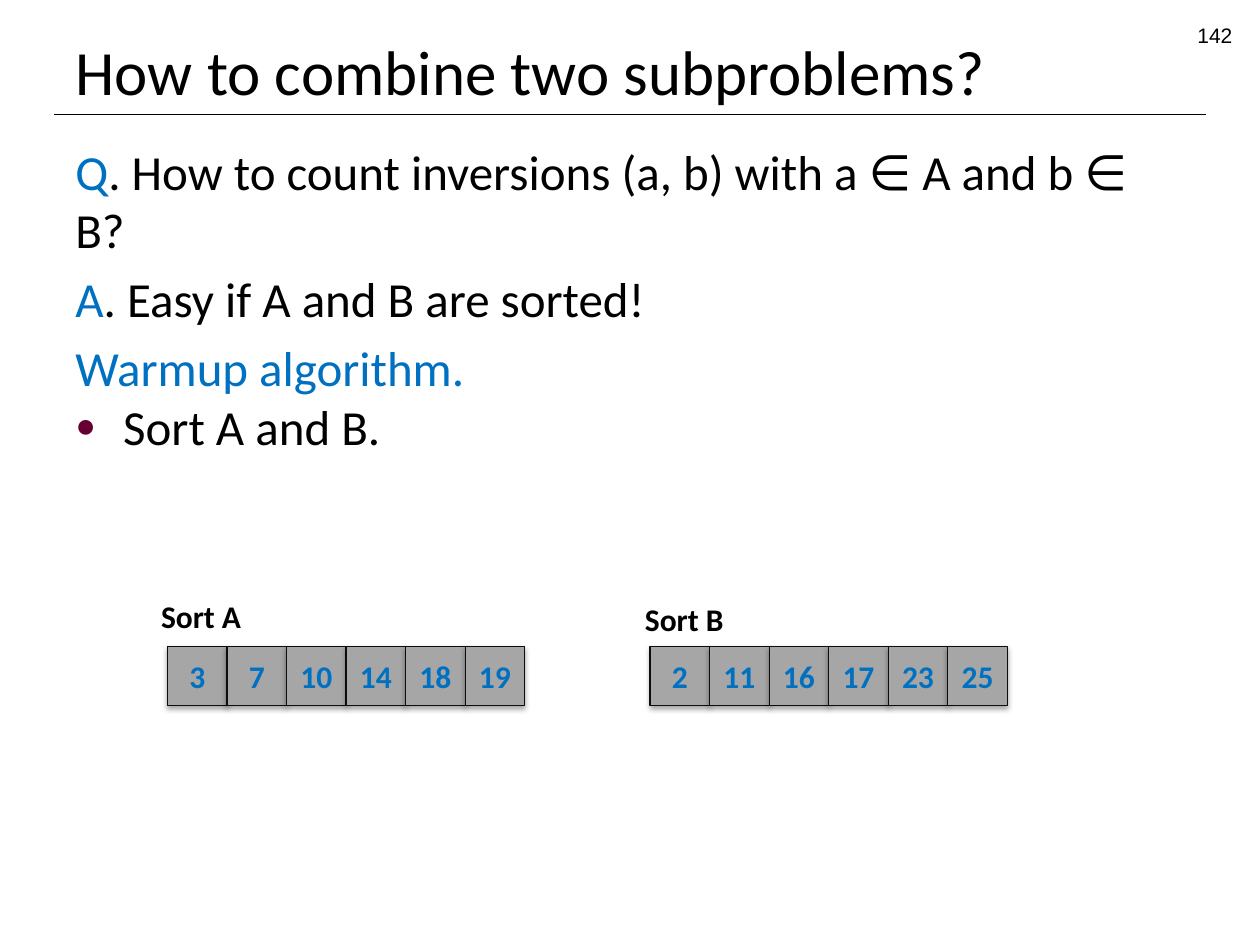
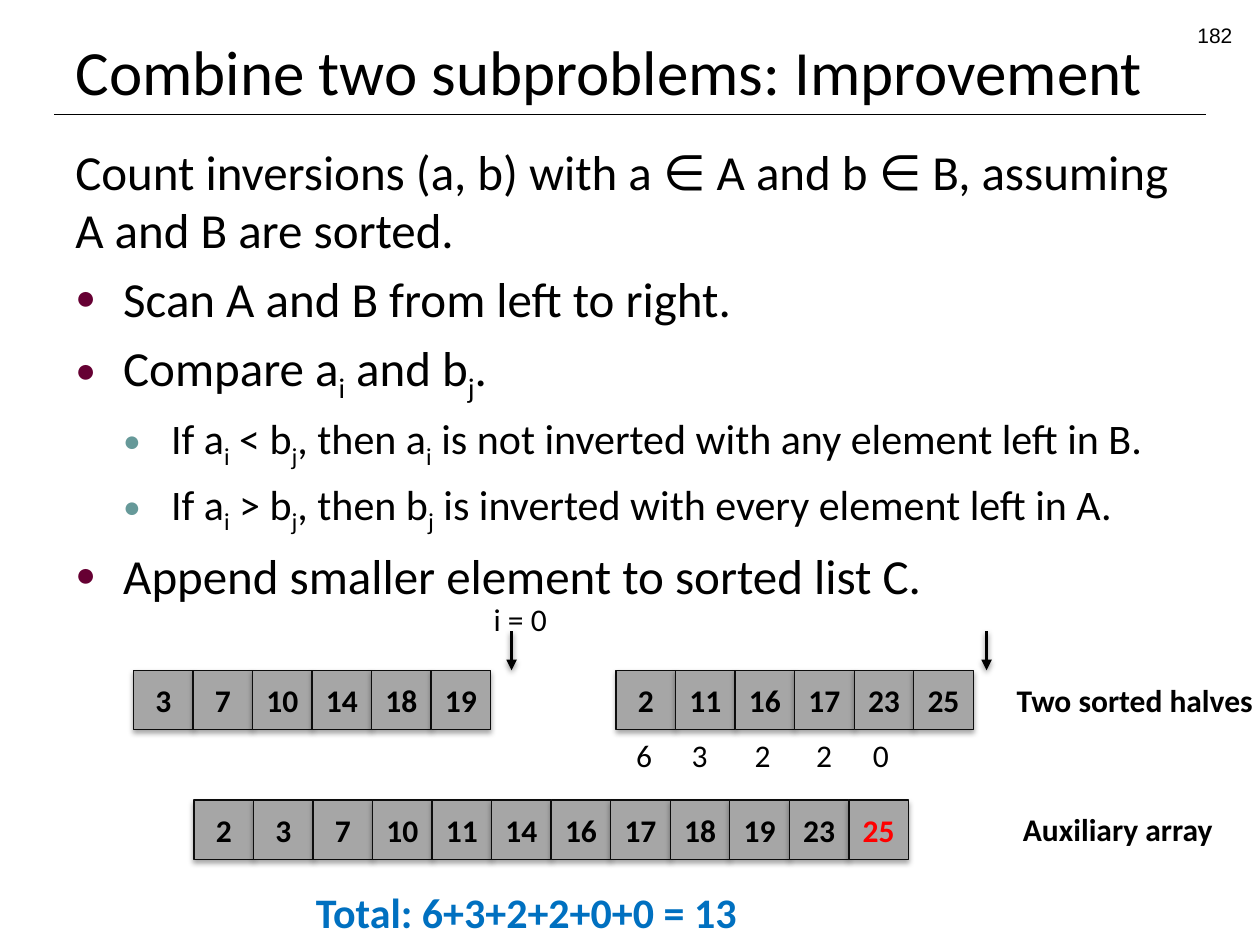
from lxml.etree import SubElement
from pptx import Presentation
from pptx.dml.color import RGBColor
from pptx.enum.shapes import MSO_CONNECTOR, MSO_SHAPE
from pptx.enum.text import MSO_ANCHOR, MSO_AUTO_SIZE, PP_ALIGN
from pptx.oxml.ns import qn
from pptx.util import Inches, Pt

BLACK = RGBColor(0x00, 0x00, 0x00)
BLUE = RGBColor(0x00, 0x70, 0xC0)
RED = RGBColor(0xFF, 0x00, 0x00)
CELL_FILL = RGBColor(0xA6, 0xA6, 0xA6)
CELL_LINE = RGBColor(0x0D, 0x0D, 0x0D)
BULLET_COLORS = (RGBColor(0x66, 0x00, 0x33), RGBColor(0x66, 0x99, 0x99))
LEVEL_SIZES = (28, 24)
BULLET_INDENT = Inches(0.38)
CELL_SIZE = Inches(5.67) // 12

SORTED_A = (3, 7, 10, 14, 18, 19)
SORTED_B = (2, 11, 16, 17, 23, 25)


class Deck:
    def __init__(self):
        self.presentation = Presentation()
        self.presentation.slide_width = Inches(10)
        self.presentation.slide_height = Inches(7.5)
        self.slide = None

    def start_slide(self, title, number):
        layout = self.presentation.slide_layouts.get_by_name("Title Only")
        self.slide = self.presentation.slides.add_slide(layout)
        self.line(0.43, 0.91, 9.57, 0.91, 0.75)

        shape = self.slide.shapes.title
        shape.left, shape.top = Inches(0.5), Inches(0.13)
        shape.width, shape.height = Inches(10.96), Inches(0.78)
        frame = shape.text_frame
        frame.auto_size = MSO_AUTO_SIZE.NONE
        frame.vertical_anchor = MSO_ANCHOR.BOTTOM
        frame.paragraphs[0].alignment = PP_ALIGN.LEFT
        self.run(frame.paragraphs[0], title, 36)

        self.text(str(number), 7.55, 0.13, 2.33, 0.28, size=12, font="Arial",
                  alignment=PP_ALIGN.RIGHT, wrap=True)

    def run(self, paragraph, text, size, color=BLACK, bold=False, font="Calibri"):
        run = paragraph.add_run()
        run.text = text
        run.font.name = font
        run.font.size = Pt(size)
        run.font.bold = bold
        run.font.color.rgb = color
        return run

    def text(self, text, left, top, width, height=0.4, size=18, color=BLACK,
             bold=False, font="Calibri", alignment=PP_ALIGN.LEFT, wrap=False):
        box = self.slide.shapes.add_textbox(
            Inches(left), Inches(top), Inches(width), Inches(height))
        box.text_frame.word_wrap = wrap
        paragraph = box.text_frame.paragraphs[0]
        paragraph.alignment = alignment
        self.run(paragraph, text, size, color, bold, font)

    def body(self):
        """Add the main text box and return its empty frame."""
        box = self.slide.shapes.add_textbox(
            Inches(0.5), Inches(1.07), Inches(9), Inches(6.22))
        box.text_frame.word_wrap = True
        return box.text_frame

    def body_paragraph(self, frame, text, lead="", level=None, spaced=True):
        """Add a paragraph with a blue lead; |x| is a subscript, a level adds a bullet."""
        paragraph = frame.paragraphs[0]
        if paragraph.runs:
            paragraph = frame.add_paragraph()
        size = LEVEL_SIZES[level or 0]
        paragraph.space_before = Pt(size * 0.2 if spaced else 0)
        if level is not None:
            self.bullet(paragraph, level)
        if lead:
            self.run(paragraph, lead, size, BLUE)
        for index, part in enumerate(text.split("|")):
            if part:
                run = self.run(paragraph, part, size)
                if index % 2:
                    run.font._element.set("baseline", "-25000")

    def bullet(self, paragraph, level):
        paragraph.level = level
        properties = paragraph._p.get_or_add_pPr()
        properties.set("marL", str(BULLET_INDENT * (level + 1)))
        properties.set("indent", str(-BULLET_INDENT))
        color = SubElement(properties, qn("a:buClr"))
        SubElement(color, qn("a:srgbClr"), val=str(BULLET_COLORS[level]))
        SubElement(properties, qn("a:buSzPct"), val="70000")
        SubElement(properties, qn("a:buFont"), typeface="Arial")
        SubElement(properties, qn("a:buChar"), char="●")

    def shadow(self, effects, distance, opacity):
        outer = SubElement(effects, qn("a:outerShdw"), blurRad=str(Pt(3.1)),
                           dist=str(Pt(distance)), dir="5400000", rotWithShape="0")
        color = SubElement(outer, qn("a:srgbClr"), val=str(BLACK))
        SubElement(color, qn("a:alpha"), val=str(opacity * 1000))

    def array(self, values, left, top, color=BLACK, highlight=None):
        """Add a row of touching cells; the highlighted value is red."""
        group = self.slide.shapes.add_group_shape()
        for index, value in enumerate(values):
            cell = group.shapes.add_shape(
                MSO_SHAPE.RECTANGLE, Inches(left) + index * CELL_SIZE,
                Inches(top), CELL_SIZE, CELL_SIZE)
            cell.fill.solid()
            cell.fill.fore_color.rgb = CELL_FILL
            cell.line.color.rgb = CELL_LINE
            cell.line.width = Pt(0.75)
            cell.shadow.inherit = False
            self.shadow(cell.element.spPr.find(qn("a:effectLst")), 1.8, 35)
            frame = cell.text_frame
            frame.word_wrap = False
            frame.vertical_anchor = MSO_ANCHOR.MIDDLE
            frame.paragraphs[0].alignment = PP_ALIGN.CENTER
            self.run(frame.paragraphs[0], str(value), 18,
                     RED if value == highlight else color, bold=True)

    def line(self, x1, y1, x2, y2, width, arrow=False):
        connector = self.slide.shapes.add_connector(
            MSO_CONNECTOR.STRAIGHT, Inches(x1), Inches(y1), Inches(x2), Inches(y2))
        connector.line.color.rgb = BLACK
        connector.line.width = Pt(width)
        properties = connector.element.spPr
        effects = SubElement(properties, qn("a:effectLst"))
        if arrow:
            SubElement(properties.find(qn("a:ln")), qn("a:tailEnd"), type="triangle")
            self.shadow(effects, 1.6, 38)


def add_warmup_slide(deck):
    deck.start_slide("How to combine two subproblems?", 142)
    frame = deck.body()
    deck.body_paragraph(
        frame, ". How to count inversions (a, b) with a ∈ A and b ∈ B?", lead="Q")
    deck.body_paragraph(frame, ". Easy if A and B are sorted!", lead="A")
    deck.body_paragraph(frame, "", lead="Warmup algorithm.")
    deck.body_paragraph(frame, "Sort A and B.", level=0, spaced=False)

    deck.text("Sort A", 1.18, 4.69, 0.84, bold=True)
    deck.text("Sort B", 5.02, 4.71, 0.83, bold=True)
    deck.array(SORTED_A, 1.33, 5.13, BLUE)
    deck.array(SORTED_B, 5.16, 5.13, BLUE)


def add_improvement_slide(deck):
    deck.start_slide("Combine two subproblems: Improvement", 182)
    frame = deck.body()
    for level, text in (
        (None, "Count inversions (a, b) with a ∈ A and b ∈ B, assuming A and B are sorted."),
        (0, "Scan A and B from left to right."),
        (0, "Compare a|i| and b|j|."),
        (1, "If a|i| < b|j|, then a|i| is not inverted with any element left in B."),
        (1, "If a|i| > b|j|, then b|j| is inverted with every element left in A."),
        (0, "Append smaller element to sorted list C."),
    ):
        deck.body_paragraph(frame, text, level=level)

    deck.text("Two sorted halves", 7.97, 5.36, 2.09, bold=True)
    deck.array(SORTED_A, 1.06, 5.32)
    deck.array(SORTED_B, 4.89, 5.32)
    deck.array(sorted(SORTED_A + SORTED_B), 1.54, 6.35, highlight=25)
    deck.text("Auxiliary array", 8.02, 6.38, 1.72, bold=True)
    deck.text("Total: 6+3+2+2+0+0 = 13", 2.41, 6.99, 7, 0.5,
              size=24, color=BLUE, bold=True, wrap=True)

    for pointer_x in (4.06, 7.83):
        deck.line(pointer_x, 5.01, pointer_x, 5.32, 2, arrow=True)
    deck.text("i = 0", 3.82, 4.71, 0.63)
    for count, left in zip("63220", (4.95, 5.39, 5.89, 6.38, 6.83)):
        deck.text(count, left, 5.79, 0.33)


def main():
    deck = Deck()
    add_warmup_slide(deck)
    add_improvement_slide(deck)
    deck.presentation.save("out.pptx")


if __name__ == "__main__":
    main()
